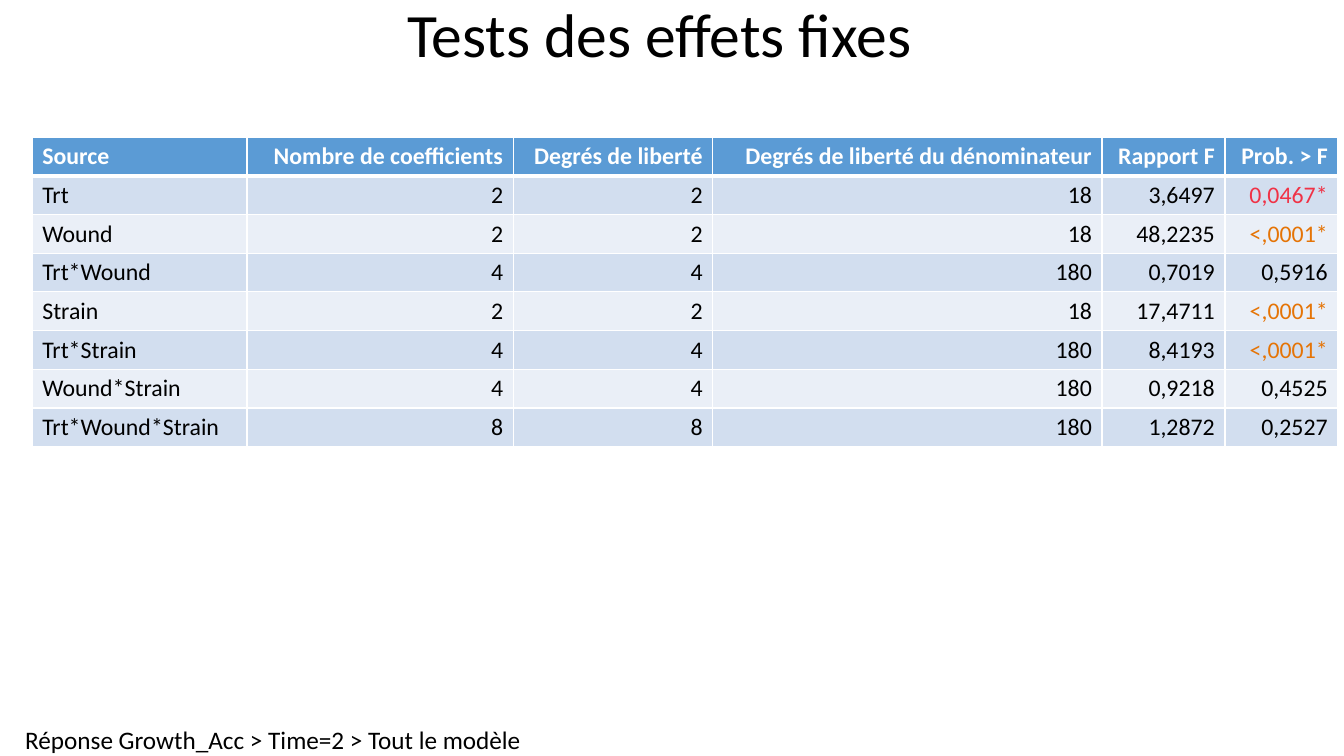
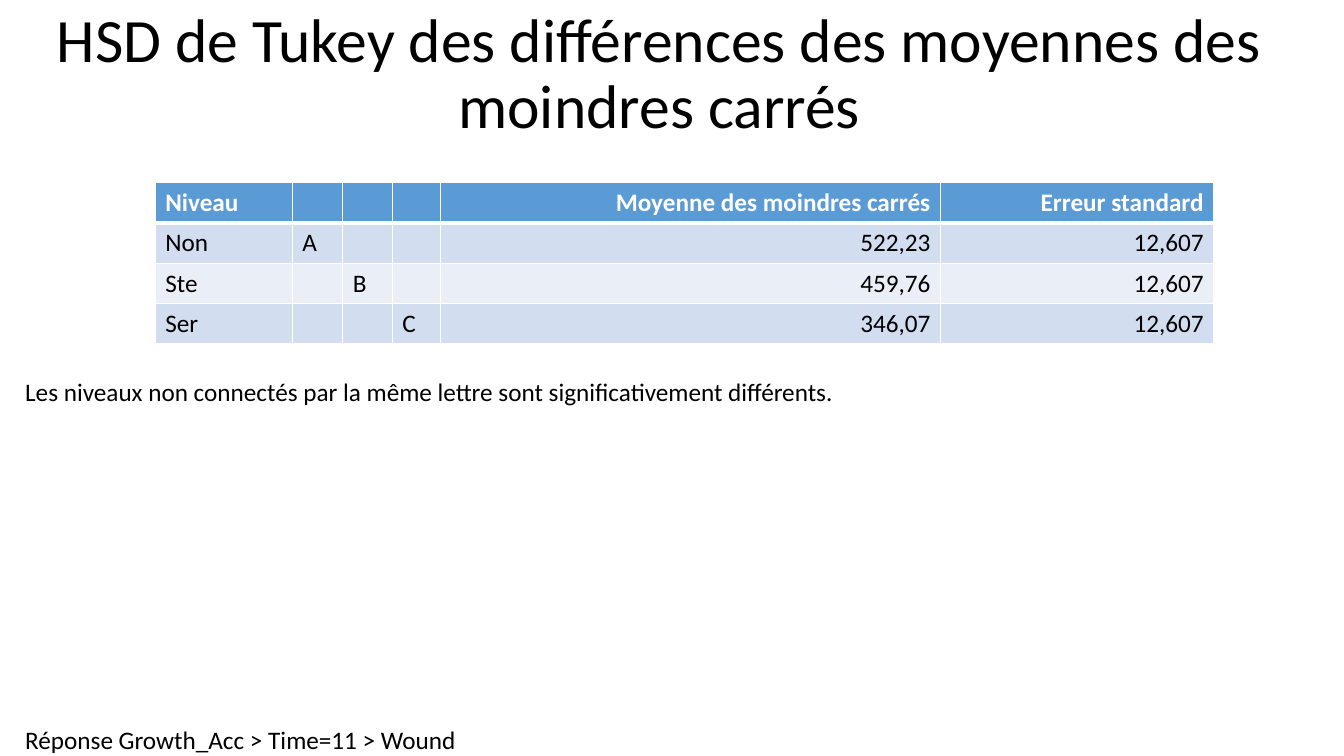
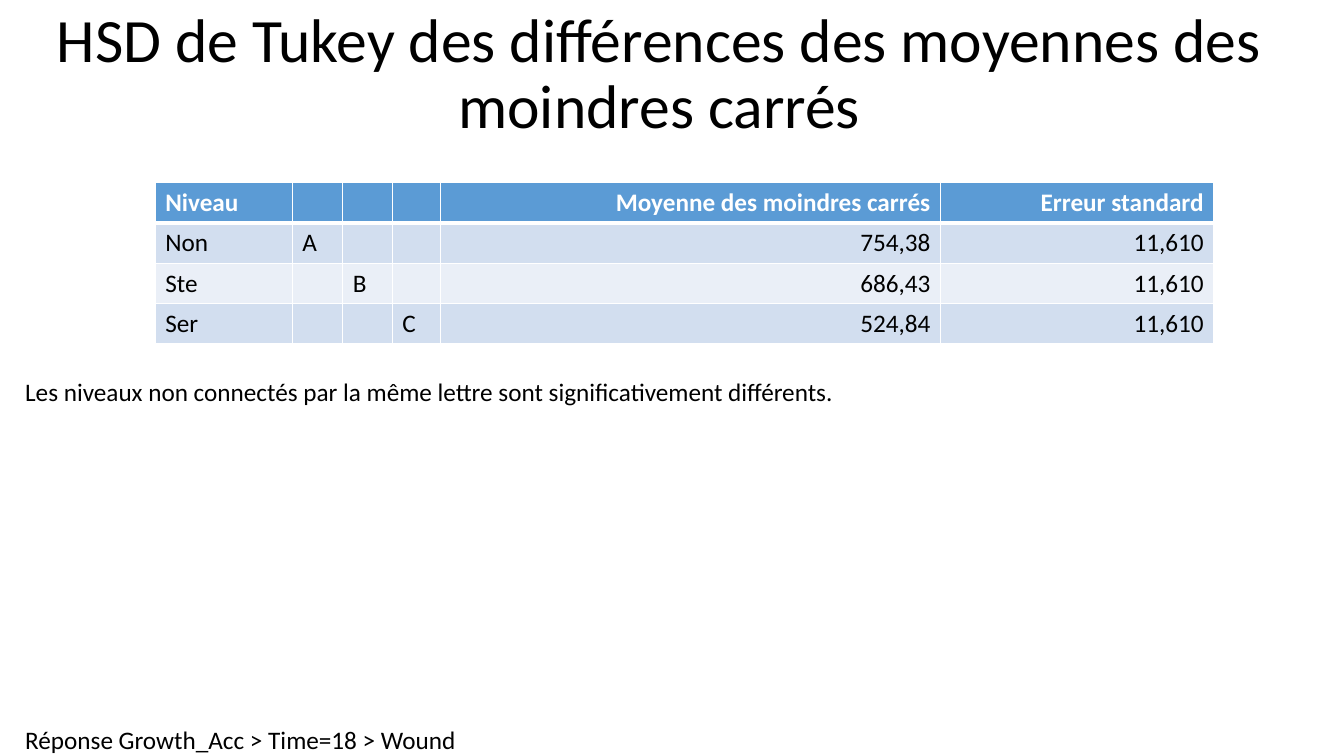
from lxml.etree import SubElement
from pptx import Presentation
from pptx.dml.color import RGBColor
from pptx.enum.text import MSO_ANCHOR as ANCHOR, PP_ALIGN as ALIGN
from pptx.oxml.ns import qn
from pptx.util import Inches, Pt

# Shared look
FONT = "Calibri"
BLACK, WHITE, HEAD = "000000", "FFFFFF", "5B9BD5"
BANDS = ["D2DEEF", "EAEFF7"]
MARKS = {"0,0467*": "F03246", "<,0001*": "E57406"}
W, H = 13.33, 7.5
MARGIN, LINE_H = 0.25, 0.31
TITLE_LINE = H / 10

# Slide contents
effects = [
    ["Source", "Nombre de coefficients", "Degrés de liberté",
     "Degrés de liberté du dénominateur", "Rapport F", "Prob. > F"],
    ["Trt", "2", "2", "18", "3,6497", "0,0467*"],
    ["Wound", "2", "2", "18", "48,2235", "<,0001*"],
    ["Trt*Wound", "4", "4", "180", "0,7019", "0,5916"],
    ["Strain", "2", "2", "18", "17,4711", "<,0001*"],
    ["Trt*Strain", "4", "4", "180", "8,4193", "<,0001*"],
    ["Wound*Strain", "4", "4", "180", "0,9218", "0,4525"],
    ["Trt*Wound*Strain", "8", "8", "180", "1,2872", "0,2527"],
]
slides = [dict(title="Tests des effets fixes", title_lines=1, rows=effects,
               at=(0.32, 1.36), cols=[2.13, 2.64, 1.98, 3.86, 1.22, 1.12],
               row_h=0.38, size=17, first_right=1, note=None,
               source="Réponse Growth_Acc > Time=2 > Tout le modèle", source_w=4.95)]
for time, means, error in [(11, ["522,23", "459,76", "346,07"], "12,607"),
                           (18, ["754,38", "686,43", "524,84"], "11,610")]:
    rows = [["Niveau", "", "", "", "Moyenne des moindres carrés", "Erreur standard"]]
    for i, (level, mean) in enumerate(zip(["Non", "Ste", "Ser"], means)):
        letters = ["", "", ""]
        letters[i] = "ABC"[i]
        rows.append([level, *letters, mean, error])
    slides.append(dict(
        title="HSD de Tukey des différences des moyennes des moindres carrés",
        title_lines=2, rows=rows, at=(1.54, 1.81),
        cols=[1.36, 0.5, 0.49, 0.48, 4.96, 2.71], row_h=0.4, size=18, first_right=4,
        note="Les niveaux non connectés par la même lettre sont significativement différents.",
        source=f"Réponse Growth_Acc > Time={time} > Wound", source_w=4.29))


def style(p, size, color, bold=False, align=ALIGN.LEFT):
    p.alignment = align
    for r in p.runs:
        r.font.name, r.font.size, r.font.bold = FONT, Pt(size), bold
        r.font.color.rgb = RGBColor.from_string(color)


def add_text(s, text, x, y, w, h):
    tf = s.shapes.add_textbox(Inches(x), Inches(y), Inches(w), Inches(h)).text_frame
    tf.text = text
    return tf


prs = Presentation()
prs.slide_width, prs.slide_height = Inches(W), Inches(H)

for d in slides:
    s = prs.slides.add_slide(prs.slide_layouts[6])

    # Title
    tf = add_text(s, d["title"], 0, 0, W - MARGIN, d["title_lines"] * TITLE_LINE)
    tf.word_wrap, tf.vertical_anchor = True, ANCHOR.MIDDLE
    tf.paragraphs[0].line_spacing = 0.9
    style(tf.paragraphs[0], 44, BLACK, align=ALIGN.CENTER)

    # Table
    rows, cols = d["rows"], d["cols"]
    tbl = s.shapes.add_table(len(rows), len(cols), *map(Inches, d["at"]),
                             Inches(sum(cols)), Inches(d["row_h"] * len(rows))).table
    for col, w in zip(tbl.columns, cols):
        col.width = Inches(w)
    for i, row in enumerate(rows):
        for j, text in enumerate(row):
            cell = tbl.cell(i, j)
            cell.text = text
            color = WHITE if i == 0 else MARKS.get(text, BLACK)
            style(cell.text_frame.paragraphs[0], d["size"], color, bold=i == 0,
                  align=ALIGN.RIGHT if j >= d["first_right"] else ALIGN.LEFT)
            # White borders, thicker under the header
            for side in "LRTB":
                thick = (i, side) in [(0, "B"), (1, "T")]
                ln = SubElement(cell._tc.get_or_add_tcPr(), qn("a:ln" + side),
                                w=str(Pt(3 if thick else 1)))
                SubElement(SubElement(ln, qn("a:solidFill")), qn("a:srgbClr"), val=WHITE)
            cell.fill.solid()
            cell.fill.fore_color.rgb = RGBColor.from_string(
                HEAD if i == 0 else BANDS[(i - 1) % 2])

    # Note under the table and source at the foot
    for text, y, w in [(d["note"], 3.73, 8.07), (d["source"], H - LINE_H, d["source_w"])]:
        if text:
            tf = add_text(s, text, MARGIN, y, w, LINE_H)
            tf.margin_left = tf.margin_top = tf.margin_right = tf.margin_bottom = 0
            tf.word_wrap = False
            style(tf.paragraphs[0], 18, BLACK)

prs.save("out.pptx")
